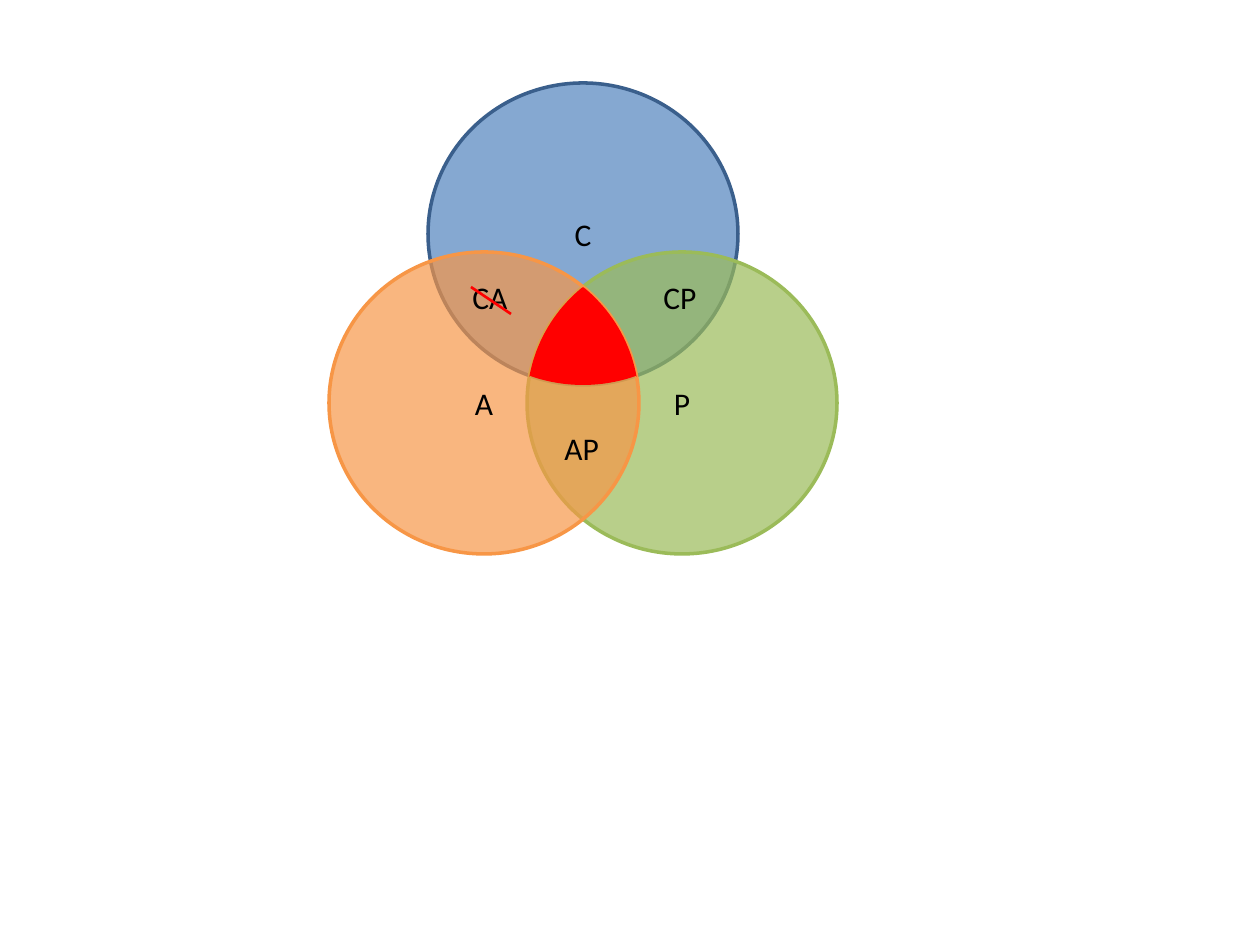
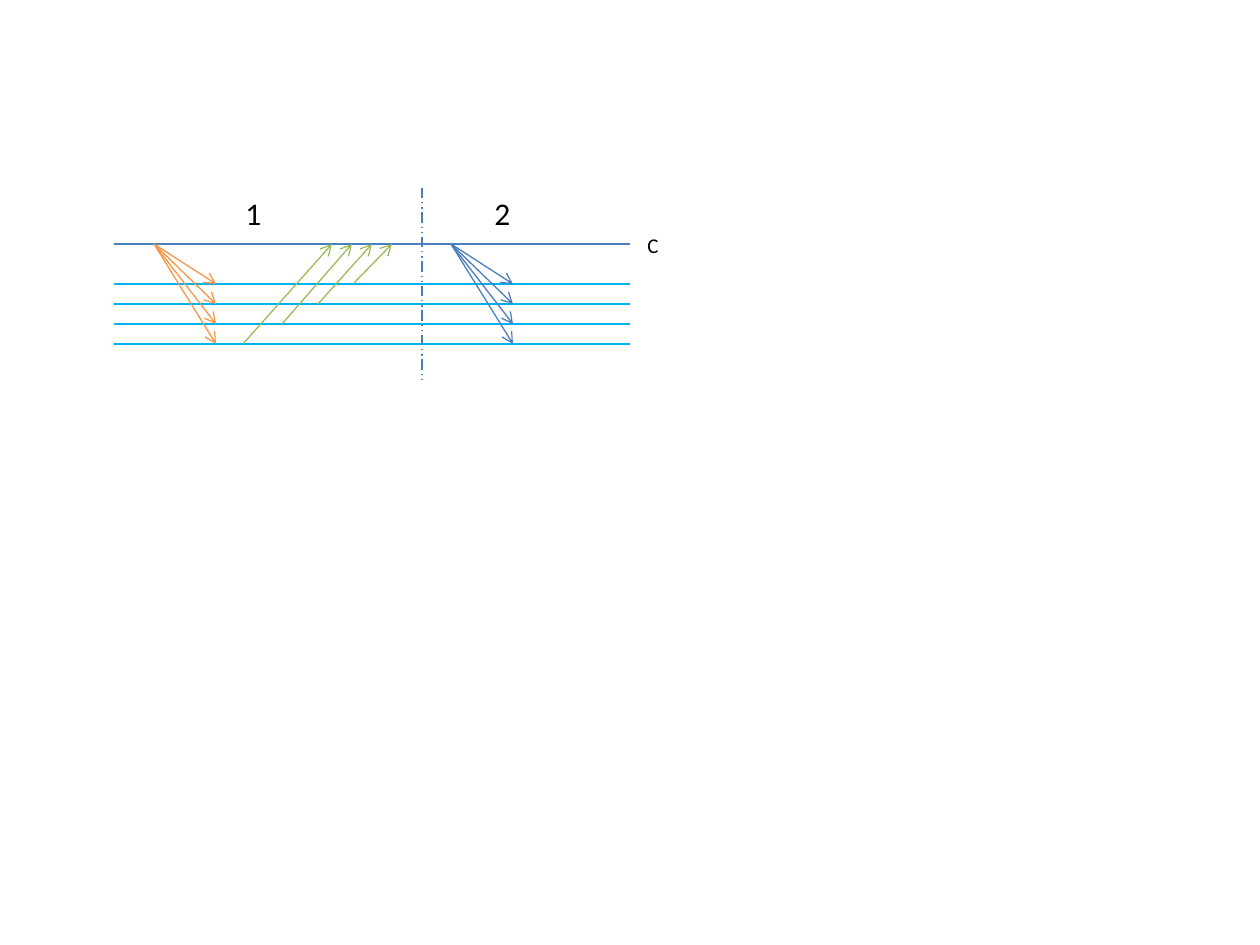
from math import cos, radians, sin
from lxml.etree import SubElement
from pptx import Presentation
from pptx.dml.color import RGBColor
from pptx.enum.dml import MSO_LINE
from pptx.enum.shapes import MSO_CONNECTOR, MSO_SHAPE
from pptx.enum.text import MSO_ANCHOR, MSO_AUTO_SIZE, PP_ALIGN
from pptx.oxml.ns import qn
from pptx.util import Emu, Pt

PX = 914400 / 126
BLACK = RGBColor(0x00, 0x00, 0x00)
RED = RGBColor(0xFF, 0x00, 0x00)
BLUE = RGBColor(0x4F, 0x81, 0xBD)
NAVY = RGBColor(0x3A, 0x5F, 0x8C)
STEEL = RGBColor(0x4B, 0x7E, 0xBC)
CYAN = RGBColor(0x00, 0xB0, 0xF0)
GREEN = RGBColor(0x9B, 0xBB, 0x59)
ORANGE = RGBColor(0xF7, 0x96, 0x46)


def write(shape, text, size=18, align=PP_ALIGN.LEFT, color=BLACK):
    para = shape.text_frame.paragraphs[0]
    para.alignment = align
    run = para.add_run()
    run.text = text
    run.font.name = "Calibri"
    run.font.size = Pt(size)
    run.font.color.rgb = color


def draw(shapes, ends, color, width=0.75, arrow=False, dash=None):
    line = shapes.add_connector(MSO_CONNECTOR.STRAIGHT, *[Emu(round(v * PX)) for v in ends])
    line.line.color.rgb = color
    line.line.width = Pt(width)
    if dash:
        line.line.dash_style = dash
    props = line._element.spPr
    if arrow:
        SubElement(props.find(qn("a:ln")), qn("a:tailEnd"), type="arrow")
    SubElement(props, qn("a:effectLst"))


deck = Presentation()
deck.slide_width = Emu(round(1260 * PX))
deck.slide_height = Emu(round(945 * PX))
venn = deck.slides.add_slide(deck.slide_layouts[6])
flow = deck.slides.add_slide(deck.slide_layouts[6])

RX, RY = 155, 151
mids = {"C": (583, 234), "P": (682, 403), "A": (484, 403)}
looks = [("C", BLUE, NAVY, 69), ("P", GREEN, GREEN, 70), ("A", ORANGE, ORANGE, 69)]
for name, fill, edge, alpha in looks:
    x, y = mids[name]
    box = [Emu(round(v * PX)) for v in (x - RX, y - RY, 2 * RX, 2 * RY)]
    disc = venn.shapes.add_shape(MSO_SHAPE.OVAL, *box)
    disc.shadow.inherit = False
    disc.fill.solid()
    disc.fill.fore_color.rgb = fill
    tint = disc._element.spPr.find(qn("a:solidFill"))[0]
    SubElement(tint, qn("a:alpha"), val=str(alpha * 1000))
    disc.line.color.rgb = edge
    disc.line.width = Pt(2)
    disc.text_frame.vertical_anchor = MSO_ANCHOR.MIDDLE
    write(disc, name, align=PP_ALIGN.CENTER)

points = []
for name, start, end in [("A", -50, -10), ("C", 70, 110), ("P", 190, 230)]:
    x, y = mids[name]
    for deg in range(start, end + 1, 2):
        turn = radians(deg)
        points.append((round((x + RX * cos(turn)) * PX), round((y + RY * sin(turn)) * PX)))
pen = venn.shapes.build_freeform(*points[0])
pen.add_line_segments(points[1:], close=True)
core = pen.convert_to_shape()
core.shadow.inherit = False
core.fill.solid()
core.fill.fore_color.rgb = RED
core.line.fill.background()

labels = [
    (venn, "CA", 460, 272, 60, 50, 18),
    (venn, "CP", 651, 272, 59, 50, 18),
    (venn, "AP", 552, 423, 60, 50, 18),
    (flow, "C", 635, 226, 36, 38, 12),
    (flow, "1", 233, 188, 41, 50, 18),
    (flow, "2", 482, 188, 41, 50, 18),
]
for slide, text, x, y, wide, high, size in labels:
    box = slide.shapes.add_textbox(*[Emu(round(v * PX)) for v in (x, y, wide, high)])
    box.text_frame.word_wrap = False
    box.text_frame.auto_size = MSO_AUTO_SIZE.SHAPE_TO_FIT_TEXT
    write(box, text, size=size)
draw(venn.shapes, (471, 287, 511, 314), RED, width=1.5)

TOP = 244
rows = [284 + 20 * i for i in range(4)]
draw(flow.shapes, (114, TOP, 630, TOP), STEEL, width=1.25)
for y in rows:
    draw(flow.shapes, (114, y, 630, y), CYAN, width=1.25)
for x, color in [(154, ORANGE), (451, STEEL)]:
    fan = flow.shapes.add_group_shape()
    for y in rows:
        draw(fan.shapes, (x, TOP, x + 62, y), color, arrow=True)
for i, (x, y) in enumerate(zip((243, 282, 318, 353), reversed(rows))):
    draw(flow.shapes, (x, y, 332 + 20 * i, TOP), GREEN, arrow=True)
draw(flow.shapes, (422, 188, 422, 379), STEEL, dash=MSO_LINE.DASH_DOT_DOT)

deck.save("out.pptx")
